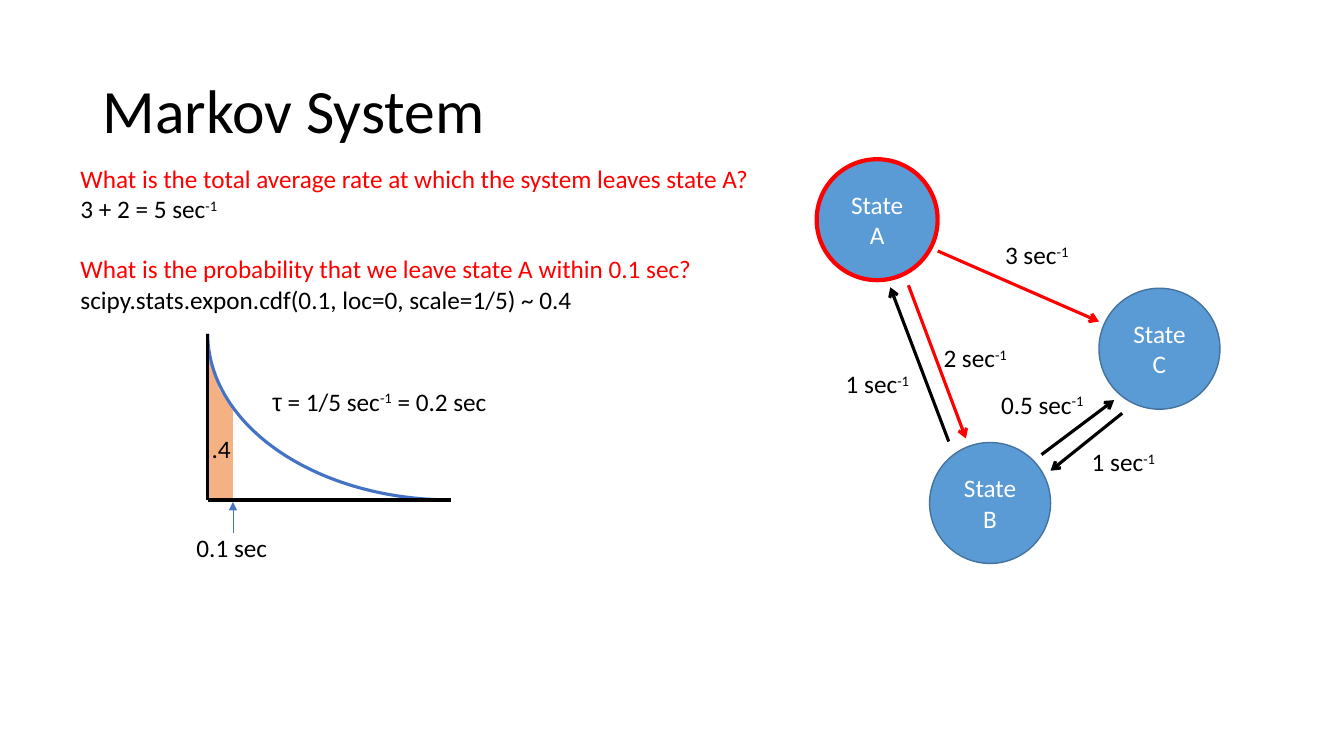
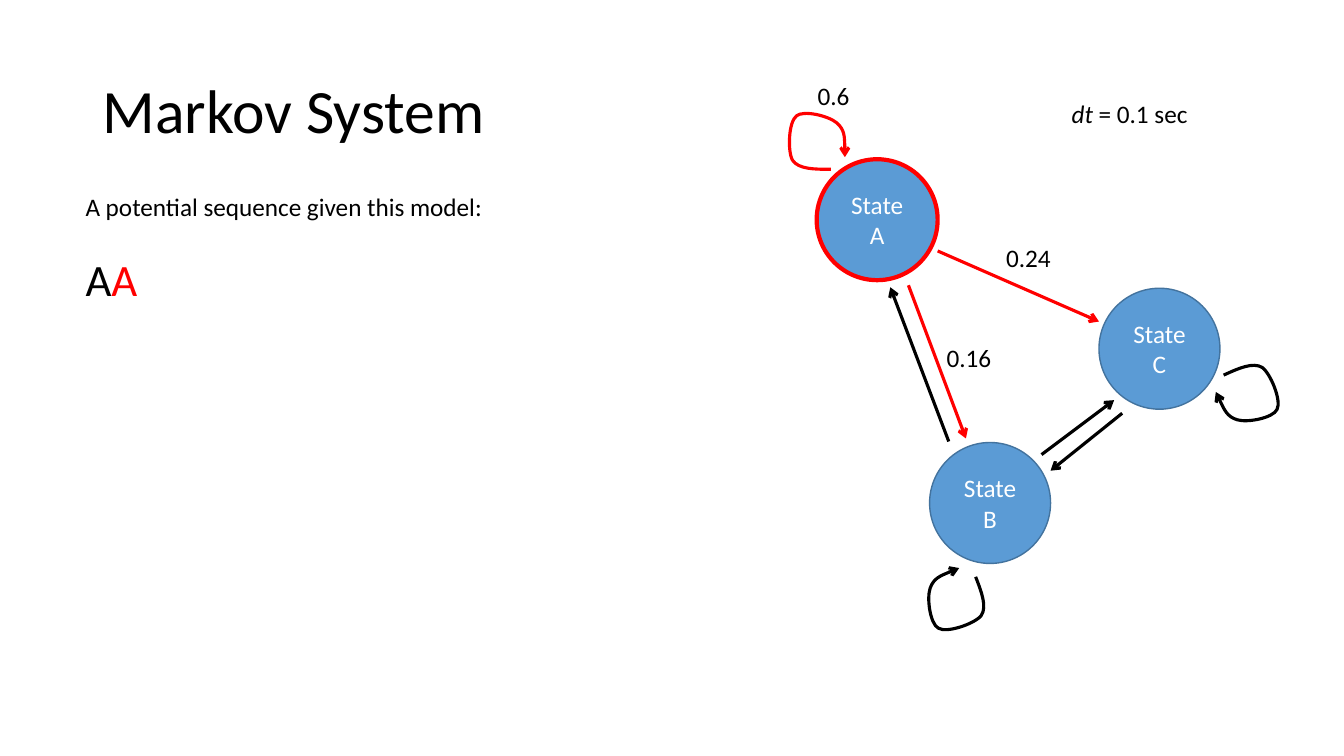
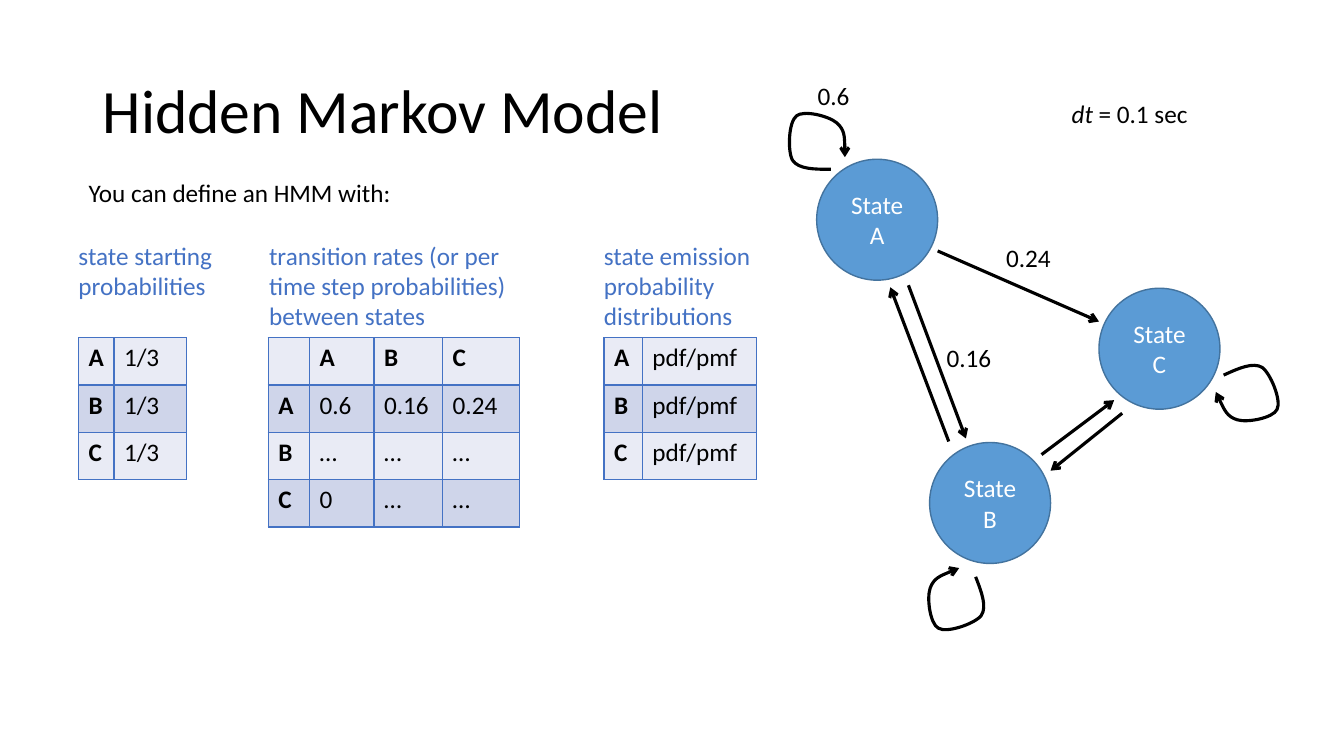
from lxml import etree
from pptx import Presentation
from pptx import util as u
from pptx.dml.color import RGBColor
from pptx.enum import shapes, text
from pptx.oxml.ns import qn

PX = 9144  # EMU per px, 100 px to the inch
WIDTH, HEIGHT = 1333, 750
FONT, SIZE, LINE_GAP = "Calibri", 18, 21.5
BLACK, WHITE, RED, BLUE = "000000", "FFFFFF", "FF0000", "4472C4"
NODE_FILL, NODE_LINE, AREA_FILL = "5B9BD5", "43739E", "F4B183"
BANDS = ("E9EBF5", "CFD5EA")
STROKE = 2.25

# Formatted runs: (text, format)
INVERSE = ("-1", {"sup": True})
DT = [[("dt", {"italic": True}), " = 0.1 sec"]]

# State diagram
NODE_SIZE = 120
NODES = {"A": (810, 158), "B": (922, 439), "C": (1090, 286)}
EDGES = [
    ("A", (901, 283), (958, 435)),
    ("A", (930, 249), (1090, 319)),
    ("B", (1033, 451), (1105, 397)),
    ("C", (1113, 410), (1042, 467)),
    ("B", (941, 438), (883, 285)),
]
# Self-loop as cubic curves from its top left corner, then corner and rotation by state
LOOP_SIZE = (55, 56)
LOOP = [(41, 56), (25, 56), (9, 56), (3, 47), (-2, 38), (-1, 9), (7, 3),
        (14, -3), (39, 3), (47, 10), (55, 17), (55, 30), (55, 44)]
LOOPS = {"A": (783, 112, 0), "B": (919, 567, 248.7), "C": (1210, 364, 155.5)}

RATES = [
    (987, 233, 86, [["3 sec", INVERSE]]),
    (926, 335, 86, [["2 sec", INVERSE]]),
    (829, 361, 86, [["1 sec", INVERSE]]),
    (1073, 438, 86, [["1 sec", INVERSE]]),
    (983, 381, 105, [["0.5 sec", INVERSE]]),
]
PROBABILITIES = [
    (988, 236, 65, "0.24"),
    (929, 335, 65, "0.16"),
    (1053, 93, 137, DT),
    (801, 75, 52, "0.6"),
]

# Slide 1: exponential decay
QUESTIONS = [
    [("What is the total average rate at which the system leaves state A?", {"color": RED})],
    ["3 + 2 = 5 sec", INVERSE],
    [("What is the probability that we leave state A within 0.1 sec?", {"color": RED})],
    ["scipy.stats.expon.cdf(0.1, loc=0, scale=1/5) ~ 0.4"],
]
ORIGIN, AXIS_TOP, AXIS_END = (206, 496), (206, 331), (447, 496)
AREA = [(206, 354), (207, 496), (231, 496), (231, 407), (218, 387), (213, 373)]
DECAY_LABELS = [
    (185, 523, 91, "0.1 sec"),
    (260, 378, 238, [[("τ", {"font": "Arial"}), " = 1/5 sec", INVERSE, " = 0.2 sec"]]),
    (200, 425, 39, ".4"),
]

# Slide 2
SEQUENCE = [
    ["A potential sequence given this model:"],
    [("A", {"size": 32}), ("A", {"size": 32, "color": RED})],
]

# Slide 3: (heading, its left, width and height, table left, column widths, rows)
TABLE_TOP, ROW_HEIGHT, HEADING_TOP = 335, 47, 233
TABLES = [
    ("state starting probabilities", 68, 160, 71, 78, (35, 72),
     [(state, "1/3") for state in NODES]),
    ("transition rates (or per time step probabilities) between states",
     257, 258, 101, 266, (41, 64, 68, 76),
     [("", "A", "B", "C"), ("A", "0.6", "0.16", "0.24"),
      ("B", "…", "…", "…"), ("C", "0", "…", "…")]),
    ("state emission probability distributions", 589, 201, 101, 599, (38, 113),
     [(state, "pdf/pmf") for state in NODES]),
]


def emu(*lengths):
    return [round(length * PX) for length in lengths]


def rgb(hex_color):
    return RGBColor.from_string(hex_color)


def write(tf, content, size=SIZE, color=BLACK, font=FONT, bold=False, align=None,
          spacing=None, gaps=()):
    """Fill a text frame from a string or a list of paragraphs, each a list of runs.

    gaps holds the indexes of the paragraphs that have a line of space before them.
    """
    paragraphs = [[content]] if isinstance(content, str) else content
    for i, runs in enumerate(paragraphs):
        p = tf.add_paragraph() if i else tf.paragraphs[0]
        p.alignment, p.line_spacing = align, spacing
        if i in gaps:
            p.space_before = u.Pt(LINE_GAP)
        for run in runs:
            words, fmt = (run, {}) if isinstance(run, str) else run
            r = p.add_run()
            r.text = words
            r.font.name = fmt.get("font", font)
            r.font.size = u.Pt(fmt.get("size", size))
            r.font.color.rgb = rgb(fmt.get("color", color))
            r.font.bold = bold
            r.font.italic = fmt.get("italic", False)
            if fmt.get("sup"):
                r.font._element.set("baseline", "30000")


def add_text(s, x, y, w, h, content, wrap=False, anchor=text.MSO_ANCHOR.TOP, **fmt):
    tf = s.shapes.add_textbox(*emu(x, y, w, h)).text_frame
    tf.word_wrap = wrap
    tf.vertical_anchor = anchor
    write(tf, content, **fmt)


def add_labels(s, labels):
    for x, y, w, content in labels:
        add_text(s, x, y, w, 40, content)


def set_line(sp, color, width, arrow=None):
    sp.line.color.rgb = rgb(color)
    sp.line.width = u.Pt(width)
    if arrow:
        ln = sp.element.spPr.find(qn("a:ln"))
        etree.SubElement(ln, qn("a:tailEnd")).set("type", arrow)


def add_line(s, start, end, color=BLACK, width=STROKE, arrow=None):
    sp = s.shapes.add_connector(shapes.MSO_CONNECTOR.STRAIGHT, *emu(*start, *end))
    set_line(sp, color, width, arrow)
    etree.SubElement(sp.element.spPr, qn("a:effectLst"))


def add_outline(s, points, close):
    first, *rest = [emu(*point) for point in points]
    builder = s.shapes.build_freeform(*first, scale=1.0)
    builder.add_line_segments(rest, close=close)
    sp = builder.convert_to_shape()
    sp.shadow.inherit = False
    return sp


def add_loop(s, x, y, rotation, color):
    """Add a freeform of the loop's size and give it the loop's cubic curves."""
    w, h = LOOP_SIZE
    sp = add_outline(s, [(x, y), (x + w, y + h)], close=False)
    outline = next(sp.element.iter(qn("a:path")))
    for segment in list(outline):
        outline.remove(segment)
    curves = [("a:cubicBezTo", LOOP[i:i + 3]) for i in range(1, len(LOOP), 3)]
    for tag, points in [("a:moveTo", LOOP[:1])] + curves:
        segment = etree.SubElement(outline, qn(tag))
        for point in points:
            px, py = emu(*point)
            etree.SubElement(segment, qn("a:pt"), x=str(px), y=str(py))
    sp.fill.background()
    set_line(sp, color, STROKE, "arrow")
    sp.rotation = rotation


def add_diagram(s, labels, active=None, loops=False):
    """Draw the states and transitions; those of the active state are red."""
    def stroke(state):
        return RED if state == active else BLACK

    for state, (x, y) in NODES.items():
        sp = s.shapes.add_shape(shapes.MSO_SHAPE.OVAL, *emu(x, y, NODE_SIZE, NODE_SIZE))
        sp.shadow.inherit = False
        sp.fill.solid()
        sp.fill.fore_color.rgb = rgb(NODE_FILL)
        set_line(sp, *((RED, 3) if state == active else (NODE_LINE, 1)))
        write(sp.text_frame, f"State {state}", color=WHITE, align=text.PP_ALIGN.CENTER)
    for state, start, end in EDGES:
        add_line(s, start, end, stroke(state), arrow="arrow")
    if loops:
        for state, (x, y, rotation) in LOOPS.items():
            add_loop(s, x, y, rotation, stroke(state))
    add_labels(s, labels)


def add_decay(s):
    area = add_outline(s, AREA, close=True)
    area.fill.solid()
    area.fill.fore_color.rgb = rgb(AREA_FILL)
    area.line.fill.background()

    w, h = 2 * (AXIS_END[0] - ORIGIN[0]), 2 * (ORIGIN[1] - AXIS_TOP[1])
    arc = s.shapes.add_shape(shapes.MSO_SHAPE.ARC, *emu(ORIGIN[0], ORIGIN[1] - h, w, h))
    arc.adjustments[0], arc.adjustments[1] = 54, 108  # 90 to 180 degrees
    arc.shadow.inherit = False
    arc.fill.background()
    set_line(arc, BLUE, STROKE)

    add_line(s, AXIS_TOP, ORIGIN)
    add_line(s, ORIGIN, AXIS_END)
    add_line(s, (231, 529), (231, 498), BLUE, 0.5, "triangle")
    add_labels(s, DECAY_LABELS)


def set_borders(cell):
    tc_pr = cell._tc.get_or_add_tcPr()
    for i, side in enumerate(("a:lnL", "a:lnR", "a:lnT", "a:lnB")):
        ln = etree.Element(qn(side), w=str(u.Pt(1)))
        fill = etree.SubElement(ln, qn("a:solidFill"))
        etree.SubElement(fill, qn("a:srgbClr")).set("val", BLUE)
        tc_pr.insert(i, ln)


def add_grid(s, x, y, widths, rows):
    """Add a banded table whose state names are bold."""
    frame = s.shapes.add_table(len(rows), len(widths),
                               *emu(x, y, sum(widths), ROW_HEIGHT * len(rows)))
    table = frame.table
    table.first_row = table.horz_banding = False
    for column, width in zip(table.columns, widths):
        column.width = emu(width)[0]
    for i, row in enumerate(rows):
        table.rows[i].height = emu(ROW_HEIGHT)[0]
        for j, value in enumerate(row):
            cell = table.cell(i, j)
            cell.fill.solid()
            cell.fill.fore_color.rgb = rgb(BANDS[i % 2])
            set_borders(cell)
            if value:
                write(cell.text_frame, value, bold=value in NODES)


def add_slide(prs, title):
    s = prs.slides.add_slide(prs.slide_layouts[6])
    add_text(s, 92, 40, 1150, 145, title, wrap=True, anchor=text.MSO_ANCHOR.MIDDLE,
             size=44, spacing=0.9)
    return s


def main():
    prs = Presentation()
    prs.slide_width, prs.slide_height = emu(WIDTH, HEIGHT)

    s = add_slide(prs, "Markov System")
    add_diagram(s, RATES, active="A")
    add_text(s, 70, 157, 690, 151, QUESTIONS, gaps=(2,))
    add_decay(s)

    s = add_slide(prs, "Markov System")
    add_diagram(s, PROBABILITIES, active="A", loops=True)
    add_text(s, 75, 185, 607, 125, SEQUENCE, wrap=True, gaps=(1,))

    s = add_slide(prs, "Hidden Markov Model")
    add_diagram(s, PROBABILITIES, loops=True)
    add_text(s, 78, 171, 324, 40, "You can define an HMM with:")
    for heading, left, width, height, x, widths, rows in TABLES:
        add_text(s, left, HEADING_TOP, width, height, heading, wrap=True, color=BLUE)
        add_grid(s, x, TABLE_TOP, widths, rows)

    prs.save("out.pptx")


if __name__ == "__main__":
    main()
